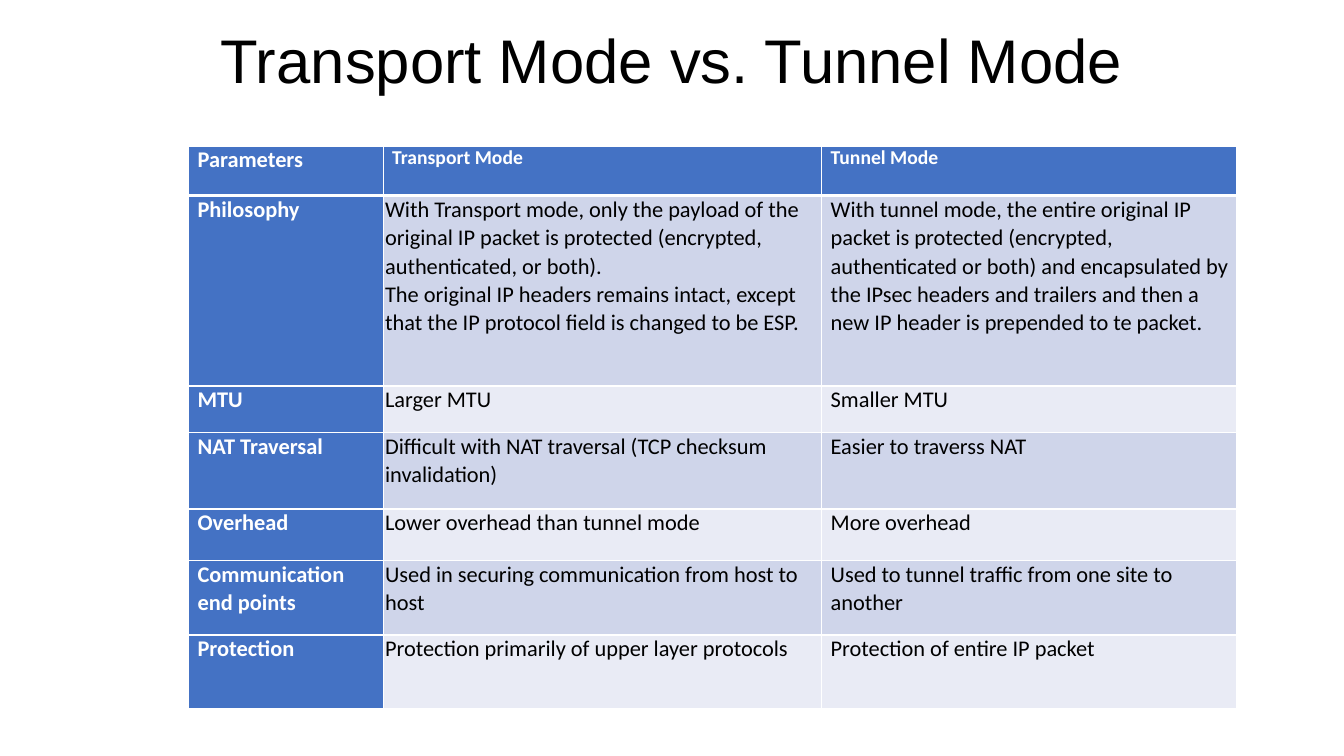
from dataclasses import dataclass

from lxml.etree import SubElement
from pptx import Presentation
from pptx.dml.color import RGBColor
from pptx.enum.text import MSO_ANCHOR, PP_ALIGN
from pptx.oxml.ns import qn
from pptx.util import Inches, Pt

BLACK = RGBColor(0x00, 0x00, 0x00)
WHITE = RGBColor(0xFF, 0xFF, 0xFF)
BLUE = RGBColor(0x44, 0x72, 0xC4)
DARK_BAND = RGBColor(0xCF, 0xD5, 0xEA)
LIGHT_BAND = RGBColor(0xE9, 0xEB, 0xF5)

COLUMN_WIDTHS = (1.93, 4.35, 4.12)
COLUMN_INDENTS = (0.09, 0.02, 0.09)


@dataclass
class Row:
    height: float
    space_before: float
    line_spacing: float
    texts: tuple[str, str, str]


ROWS = [
    Row(0.49, 3.1, 1.0, ("Parameters", "Transport Mode", "Tunnel Mode")),
    Row(1.89, 2.4, 1.03, (
        "Philosophy",
        "With Transport mode, only the payload of the original IP packet is "
        "protected (encrypted, authenticated, or both).\n"
        "The original IP headers remains intact, except that the IP protocol "
        "field is changed to be ESP.",
        "With tunnel mode, the entire original IP packet is protected "
        "(encrypted, authenticated or both) and encapsulated by the IPsec "
        "headers and trailers and then a new IP header is prepended to te packet.",
    )),
    Row(0.46, 2.8, 1.0, ("MTU", "Larger MTU", "Smaller MTU")),
    Row(0.76, 3.4, 1.03, (
        "NAT Traversal",
        "Difficult with NAT traversal (TCP checksum invalidation)",
        "Easier to traverss NAT",
    )),
    Row(0.51, 3.5, 1.0, ("Overhead", "Lower overhead than tunnel mode", "More overhead")),
    Row(0.74, 2.3, 1.03, (
        "Communication end points",
        "Used in securing communication from host to host",
        "Used to tunnel traffic from one site to another",
    )),
    Row(0.73, 2.9, 1.0, (
        "Protection",
        "Protection primarily of upper layer protocols",
        "Protection of entire IP packet",
    )),
]


def add_title(s, text: str) -> None:
    sp = s.shapes.add_textbox(Inches(0), Inches(0.02), Inches(13.33), Inches(1.23))
    tf = sp.text_frame
    tf.word_wrap = True
    tf.vertical_anchor = MSO_ANCHOR.MIDDLE
    tf.text = text
    p = tf.paragraphs[0]
    p.alignment = PP_ALIGN.CENTER
    p.line_spacing = 0.9
    p.font.name = "Arial"
    p.font.size = Pt(44)
    p.font.color.rgb = BLACK


def set_borders(cell, top: float, bottom: float) -> None:
    tcPr = cell._tc.get_or_add_tcPr()
    for side, width in (("L", 1), ("R", 1), ("T", top), ("B", bottom)):
        ln = SubElement(tcPr, qn(f"a:ln{side}"), w=str(Pt(width)))
        fill = SubElement(ln, qn("a:solidFill"))
        SubElement(fill, qn("a:srgbClr"), val=str(WHITE))


def fill_cell(cell, row: Row, i: int, j: int) -> None:
    heading = i == 0 or j == 0
    set_borders(cell, top=3 if i == 1 else 1, bottom=3 if i == 0 else 1)
    cell.fill.solid()
    cell.fill.fore_color.rgb = BLUE if heading else DARK_BAND if i % 2 else LIGHT_BAND
    cell.margin_left = Inches(COLUMN_INDENTS[0 if i == 0 else j])
    cell.margin_right = cell.margin_top = cell.margin_bottom = 0
    cell.text_frame.text = row.texts[j]
    for k, p in enumerate(cell.text_frame.paragraphs):
        p.space_before = Pt(0.2 if k else row.space_before)
        p.line_spacing = row.line_spacing
        p.font.name = "Calibri"
        p.font.size = Pt(14 if i == 0 and j > 0 else 16)
        p.font.bold = heading
        p.font.color.rgb = WHITE if heading else BLACK


def add_comparison(s, rows: list[Row]) -> None:
    table = s.shapes.add_table(
        len(rows), len(COLUMN_WIDTHS), Inches(1.87), Inches(1.45),
        Inches(sum(COLUMN_WIDTHS)), Inches(sum(row.height for row in rows)),
    ).table
    table.first_col = True
    table.horz_banding = False
    for column, width in zip(table.columns, COLUMN_WIDTHS):
        column.width = Inches(width)
    for i, row in enumerate(rows):
        table.rows[i].height = Inches(row.height)
        for j in range(len(COLUMN_WIDTHS)):
            fill_cell(table.cell(i, j), row, i, j)


def main() -> None:
    prs = Presentation()
    prs.slide_width = Inches(13.33)
    prs.slide_height = Inches(7.5)
    s = prs.slides.add_slide(prs.slide_layouts[6])
    add_title(s, "Transport Mode vs. Tunnel Mode")
    add_comparison(s, ROWS)
    prs.save("out.pptx")


if __name__ == "__main__":
    main()
